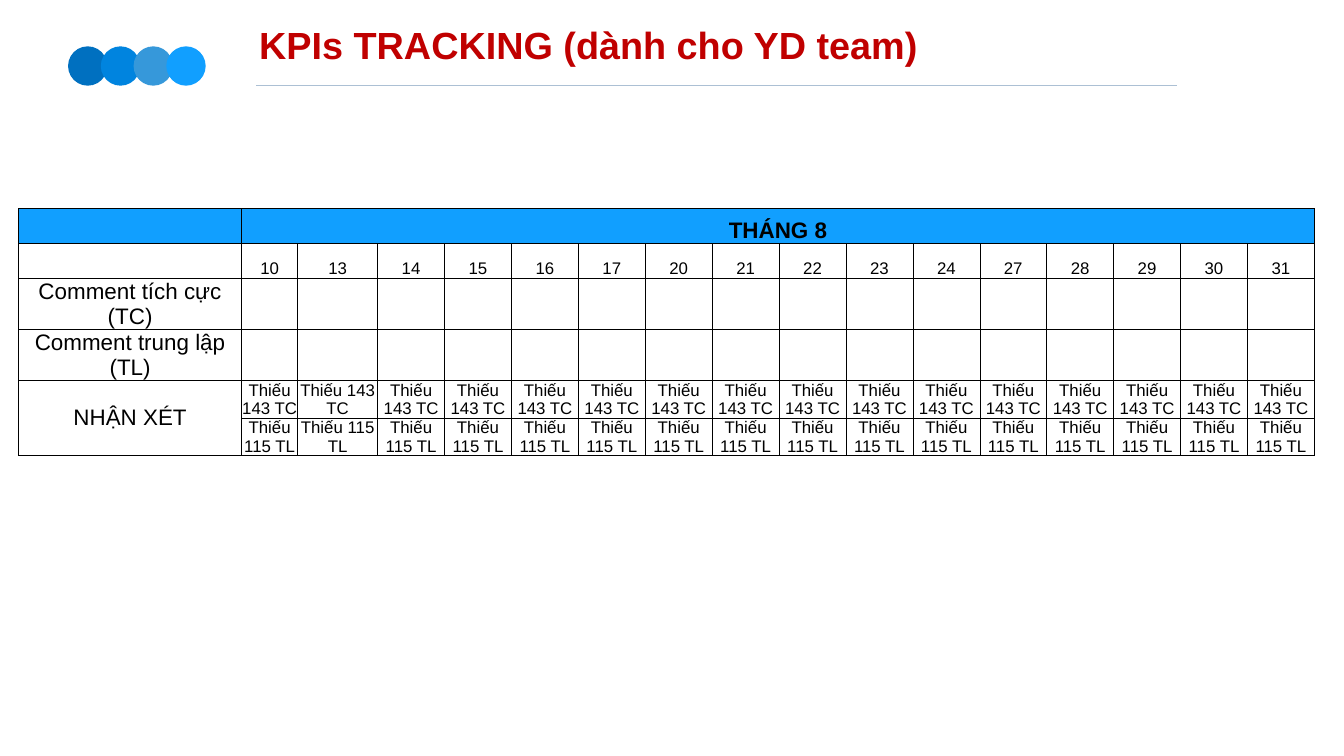
from pptx import Presentation
from pptx.dml.color import RGBColor
from pptx.enum.shapes import MSO_CONNECTOR as Connector, MSO_SHAPE as Shape
from pptx.enum.text import MSO_ANCHOR as Anchor, PP_ALIGN as Align
from pptx.oxml import parse_xml
from pptx.oxml.ns import nsdecls
from pptx.util import Pt

BLACK = RGBColor(0x00, 0x00, 0x00)
RED = RGBColor(0xC0, 0x00, 0x00)
HEADER_BLUE = RGBColor(0x11, 0x9F, 0xFF)
RULE_GREY = RGBColor(0xAC, 0xC0, 0xD4)
DOT_BLUES = [RGBColor(0x00, 0x70, 0xC0), RGBColor(0x00, 0x84, 0xDF),
             RGBColor(0x36, 0x98, 0xDA), HEADER_BLUE]


def write(frame, text, size=24, color=BLACK, bold=False, align=Align.CENTER, spacing=None):
    """Write one formatted paragraph into a text frame."""
    para = frame.paragraphs[0]
    para.alignment = align
    para.line_spacing = spacing
    span = para.add_run()
    span.text = text
    span.font.name = "Arial"
    span.font.size = Pt(size)
    span.font.bold = bold
    span.font.color.rgb = color


def add_borders(cell):
    """Draw a thin black line on each side of a table cell."""
    properties = cell._tc.get_or_add_tcPr()
    for side in ("lnL", "lnR", "lnT", "lnB"):
        properties.append(parse_xml(
            f'<a:{side} {nsdecls("a")} w="{Pt(1)}"><a:solidFill>'
            f'<a:srgbClr val="{BLACK}"/></a:solidFill></a:{side}>'))


deck = Presentation()
deck.slide_width, deck.slide_height = Pt(1920), Pt(1080)
page = deck.slides.add_slide(deck.slide_layouts[6])

# Heading
for index, blue in enumerate(DOT_BLUES):
    dot = page.shapes.add_shape(Shape.OVAL, Pt(97.2 + 46.8 * index), Pt(66.2), Pt(56.2), Pt(56.2))
    dot.shadow.inherit = False
    dot.fill.solid()
    dot.fill.fore_color.rgb = blue
    dot.line.fill.background()

rule = page.shapes.add_connector(Connector.STRAIGHT, Pt(366), Pt(122.4), Pt(1681), Pt(122.4))
rule.line.color.rgb = RULE_GREY
rule.line.width = Pt(2.25)
rule._element.spPr.append(parse_xml(f'<a:effectLst {nsdecls("a")}/>'))

title = page.shapes.add_textbox(Pt(366), Pt(26.6), Pt(1449), Pt(89.3)).text_frame
title.word_wrap = True
title.vertical_anchor = Anchor.MIDDLE
title.margin_left = title.margin_right = title.margin_top = Pt(4.3)
title.margin_bottom = Pt(13)
write(title, "KPIs TRACKING (dành cho YD team)", size=54, color=RED, bold=True,
      align=Align.LEFT, spacing=0.9)

# Tracking table
days = [10, 13, 14, 15, 16, 17, 20, 21, 22, 23, 24, 27, 28, 29, 30, 31]
blanks = [""] * len(days)
rows = [
    ["", "THÁNG 8"] + blanks[1:],
    [""] + [str(day) for day in days],
    ["Comment tích cực (TC)"] + blanks,
    ["Comment trung lập (TL)"] + blanks,
    ["NHẬN XÉT"] + ["Thiếu 143 TC"] * len(days),
    [""] + ["Thiếu 115 TL"] * len(days),
]
widths = [318.6, 80, 114.3] + [95.6] * (len(days) - 2)
heights = [50] * 2 + [73] * 2 + [53.5] * 2

grid = page.shapes.add_table(len(rows), len(widths), Pt(26.6), Pt(297.9),
                             Pt(sum(widths)), Pt(sum(heights))).table
for column, width in zip(grid.columns, widths):
    column.width = Pt(width)
for row, height in zip(grid.rows, heights):
    row.height = Pt(height)

for row_index, texts in enumerate(rows):
    for column_index, text in enumerate(texts):
        cell = grid.cell(row_index, column_index)
        add_borders(cell)
        is_header = row_index == 0
        if is_header:
            cell.fill.solid()
            cell.fill.fore_color.rgb = HEADER_BLUE
        else:
            cell.fill.background()
        cell.margin_left = cell.margin_right = Pt(0.7)
        cell.margin_top = cell.margin_bottom = Pt(0)
        cell.vertical_anchor = Anchor.BOTTOM
        if text:
            is_large = is_header or column_index == 0
            write(cell.text_frame, text, size=32 if is_large else 24, bold=is_header,
                  spacing=Pt(36 if is_large else 26.4))

grid.cell(0, 1).merge(grid.cell(0, len(days)))
grid.cell(4, 0).merge(grid.cell(5, 0))
grid.cell(4, 0).vertical_anchor = Anchor.MIDDLE

deck.save("out.pptx")
